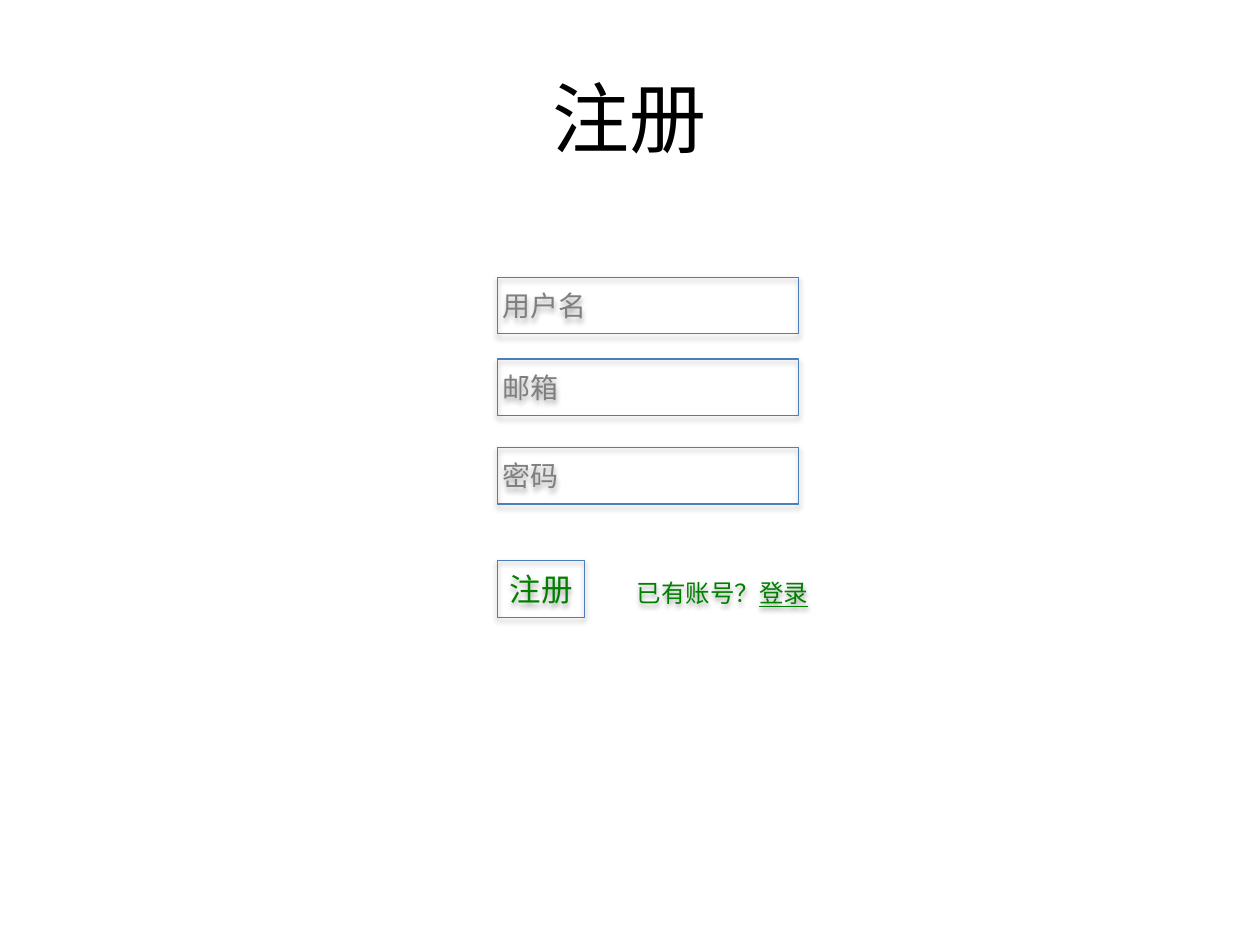
from lxml import etree
from pptx import Presentation
from pptx.dml.color import RGBColor
from pptx.enum.shapes import MSO_SHAPE as Shape
from pptx.enum.text import MSO_ANCHOR as Anchor, PP_ALIGN as Align
from pptx.oxml import parse_xml
from pptx.oxml.ns import nsdecls
from pptx.util import Inches, Pt

BLACK = RGBColor(0x00, 0x00, 0x00)
GRAY = RGBColor(0x7F, 0x7F, 0x7F)
GREEN = RGBColor(0x00, 0x80, 0x00)
BLUE = RGBColor(0x4B, 0x7E, 0xBC)

FONT = "Calibri"
TITLE = "注册"
FIELDS = [("用户名", 2.2), ("邮箱", 2.85), ("密码", 3.55)]
BUTTON = "注册"
LOGIN = [("已有账号？", False), ("登录", True)]

FORM_LEFT, FIELD_WIDTH, ROW_HEIGHT = 3.95, 2.39, 0.45
SHADOW = (
    f"<a:effectLst {nsdecls('a')}>"
    f'<a:outerShdw blurRad="{Pt(3.1)}" dist="{Pt(1.8)}" dir="5400000" rotWithShape="0">'
    '<a:srgbClr val="000000"><a:alpha val="35000"/></a:srgbClr>'
    "</a:outerShdw></a:effectLst>"
)


def write(shape, runs, size, color, align, margin_x=0.04):
    frame = shape.text_frame
    frame.word_wrap = True
    frame.vertical_anchor = Anchor.MIDDLE
    frame.margin_left = frame.margin_right = Inches(margin_x)
    frame.margin_top = frame.margin_bottom = Inches(0.05)
    paragraph = frame.paragraphs[0]
    paragraph.alignment = align
    paragraph.font.name = FONT
    paragraph.font.size = Pt(size)
    paragraph.font.color.rgb = color
    for text, underlined in runs:
        run = paragraph.add_run()
        run.text = text
        if underlined:
            run.font.underline = True


def add_shadow(shape):
    properties = shape._element.spPr
    for effects in properties.findall(etree.QName(properties.nsmap["a"], "effectLst")):
        properties.remove(effects)
    properties.append(parse_xml(SHADOW))


def add_box(slide, top, width, text, size, color, align):
    box = slide.shapes.add_shape(
        Shape.RECTANGLE, Inches(FORM_LEFT), Inches(top), Inches(width), Inches(ROW_HEIGHT)
    )
    box.fill.background()
    box.line.color.rgb = BLUE
    box.line.width = Pt(0.75)
    add_shadow(box)
    write(box, [(text, False)], size, color, align)


presentation = Presentation()
presentation.slide_width = Inches(10)
presentation.slide_height = Inches(7.5)
slide = presentation.slides.add_slide(presentation.slide_layouts[6])

title = slide.shapes.add_textbox(Inches(0.5), Inches(0.3), Inches(9), Inches(1.25))
write(title, [(TITLE, False)], 44, BLACK, Align.CENTER, 0.1)

for label, top in FIELDS:
    add_box(slide, top, FIELD_WIDTH, label, 16, GRAY, Align.LEFT)

add_box(slide, 4.45, 0.69, BUTTON, 18, GREEN, Align.CENTER)

login = slide.shapes.add_textbox(Inches(4.95), Inches(4.48), Inches(1.57), Inches(ROW_HEIGHT))
add_shadow(login)
write(login, LOGIN, 14, GREEN, Align.CENTER)

presentation.save("out.pptx")
